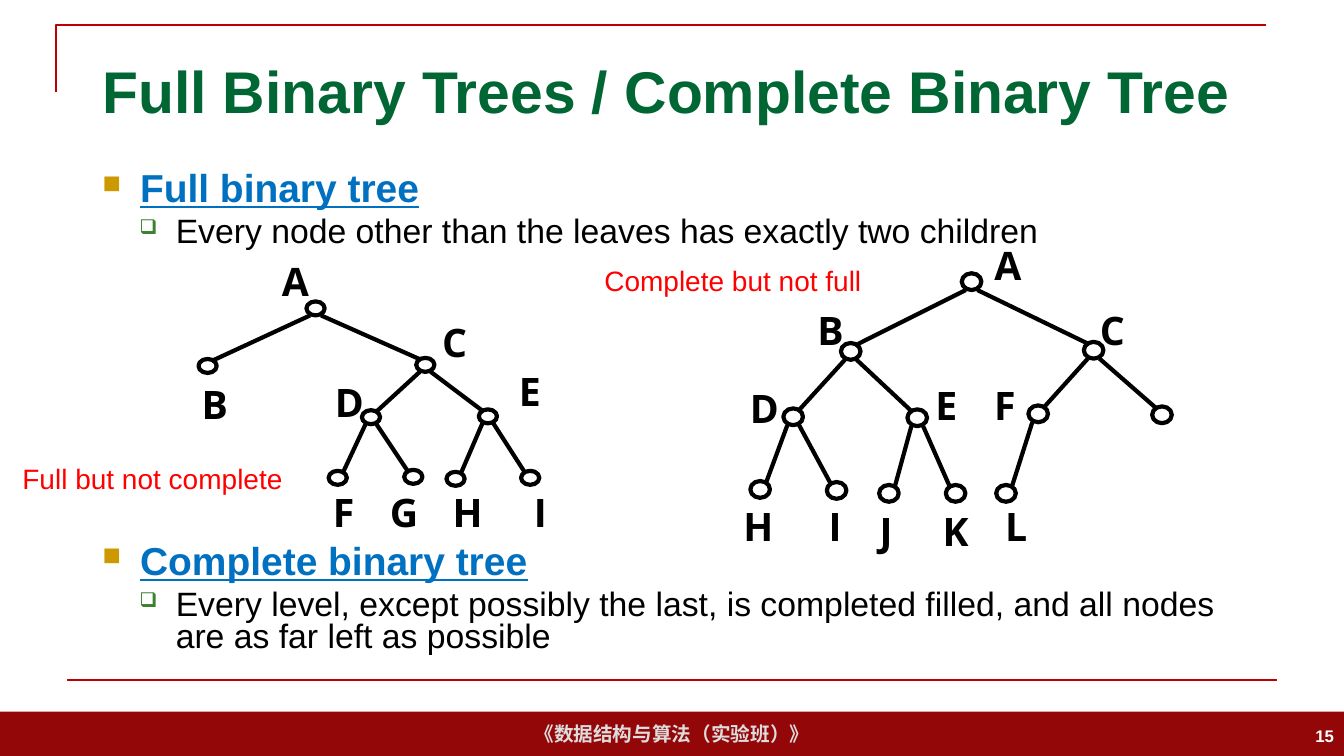
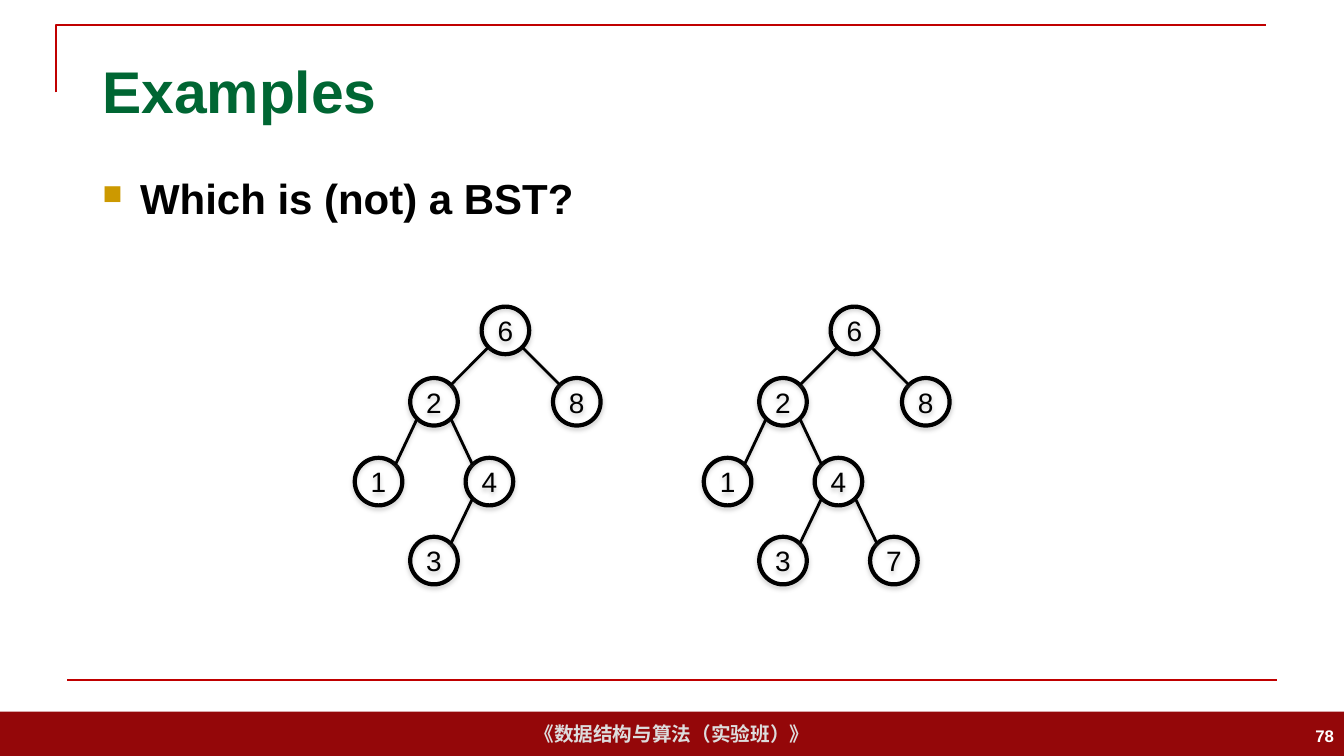
"""Build two slides on binary trees and binary search trees."""
import pptx
import pptx.util
import pptx.dml.color
import pptx.enum.shapes
import pptx.enum.text
import pptx.oxml.ns
import lxml.etree

Pt = pptx.util.Pt
RGB = pptx.dml.color.RGBColor.from_string
qn = pptx.oxml.ns.qn
MIDDLE = pptx.enum.text.MSO_ANCHOR.MIDDLE
ALIGN = pptx.enum.text.PP_ALIGN
SHAPE = pptx.enum.shapes.MSO_SHAPE
STRAIGHT = pptx.enum.shapes.MSO_CONNECTOR.STRAIGHT

COLORS = {
    "black": "000000", "white": "FFFFFF", "title": "006633", "rule": "C00000",
    "band": "940709", "footer": "DDDDDD", "term": "0070C0", "note": "FF0000",
    "square": "CC9900", "box": "3B812F", "shadow": "808080",
}


def write(tf, text, size, color="black", bold=False, align=ALIGN.LEFT, font="Arial"):
    """Write one paragraph into a text frame and return it."""
    tf.word_wrap = True
    p = tf.add_paragraph() if tf.paragraphs[0].runs else tf.paragraphs[0]
    p.alignment = align
    r = p.add_run()
    r.text = text
    r.font.name = font
    r.font.size = Pt(size)
    r.font.bold = bold
    r.font.color.rgb = RGB(COLORS[color])
    return p


def link(s, x1, y1, x2, y2, width, color="black"):
    """Draw a straight line and return its empty effect list."""
    line = s.shapes.add_connector(STRAIGHT, Pt(x1), Pt(y1), Pt(x2), Pt(y2))
    line.line.color.rgb = RGB(COLORS[color])
    line.line.width = Pt(width)
    return lxml.etree.SubElement(line._element.spPr, qn("a:effectLst"))


prs = pptx.Presentation()
prs.slide_width, prs.slide_height = Pt(960), Pt(540)

slides = []
for title, number in (("Full Binary Trees / Complete Binary Tree", "15"), ("Examples", "78")):
    s = prs.slides.add_slide(prs.slide_layouts[6])
    slides.append(s)
    band = s.shapes.add_shape(SHAPE.RECTANGLE, 0, Pt(508.3), Pt(960), Pt(31.7))
    band.shadow.inherit = False
    band.fill.solid()
    band.fill.fore_color.rgb = RGB(COLORS["band"])
    band.line.fill.background()
    band.text_frame.vertical_anchor = MIDDLE
    write(band.text_frame, "《数据结构与算法（实验班）》", 14, "footer", True, ALIGN.CENTER)

    outline = s.shapes.build_freeform(Pt(40), Pt(66))
    outline.add_line_segments([(Pt(40), Pt(18)), (Pt(904), Pt(18))], close=False)
    corner = outline.convert_to_shape()
    corner.shadow.inherit = False
    corner.fill.background()
    corner.line.color.rgb = RGB(COLORS["rule"])
    corner.line.width = Pt(1.5)
    link(s, 48, 486, 912, 486, 1.5, "rule")

    tf = s.shapes.add_textbox(Pt(66), Pt(29), Pt(828), Pt(71)).text_frame
    tf.vertical_anchor = MIDDLE
    write(tf, title, 42, "title", True)
    tf = s.shapes.add_textbox(Pt(744), Pt(511), Pt(216), Pt(29)).text_frame
    tf.vertical_anchor = MIDDLE
    write(tf, number, 12, "white", True, ALIGN.RIGHT)

full, examples = slides

bullets = [
    (full, 120, 0.8, [
        ("Full binary tree", 27.8, "term", 0),
        ("Every node other than the leaves has exactly two children", 24.1, "black", 1),
    ]),
    (full, 386.4, 0.8, [
        ("Complete binary tree", 27.8, "term", 0),
        ("Every level, except possibly the last, is completed filled, "
         "and all nodes are as far left as possible", 24.1, "black", 1),
    ]),
    (examples, 120, 1.0, [("Which is (not) a BST?", 30, "black", 0)]),
]
levels = [("■", "square", 65, 27, 27), ("❑", "box", 60, 52.5, 26)]
for s, top, spacing, lines in bullets:
    tf = s.shapes.add_textbox(Pt(66), Pt(top), Pt(828), Pt(90)).text_frame
    for text, size, color, level in lines:
        char, bullet_color, percent, margin, hang = levels[level]
        p = write(tf, text, size, color, level == 0)
        p.runs[0].font.underline = color == "term"
        p.level = level
        pPr = p._p.get_or_add_pPr()
        pPr.set("marL", str(Pt(margin)))
        pPr.set("indent", str(-Pt(hang)))
        clr = lxml.etree.SubElement(pPr, qn("a:buClr"))
        lxml.etree.SubElement(clr, qn("a:srgbClr"), val=COLORS[bullet_color])
        lxml.etree.SubElement(pPr, qn("a:buSzPct"), val=str(percent * 1000))
        lxml.etree.SubElement(pPr, qn("a:buChar"), char=char)
        p.line_spacing = spacing
        if level:
            p.space_before = Pt(5)

full_tree = {
    "A": (None, 225.4, 220.3, 211, 180), "B": ("A", 148.3, 261.4, 153.4, 268),
    "C": ("A", 303.8, 260.6, 324.7, 224), "D": ("C", 265, 298, 249.5, 266.4),
    "E": ("C", 348.5, 297.4, 378.4, 258.5), "F": ("D", 241.2, 341.3, 245.5, 345),
    "G": ("D", 295.2, 340.6, 288.7, 345), "H": ("E", 325.4, 342, 334, 345),
    "I": ("E", 378.7, 341.3, 386, 345),
}
complete_tree = {
    "A": (None, 694, 201.2, 720, 169), "B": ("A", 607.7, 251, 593.3, 215.3),
    "C": ("A", 781.2, 250.2, 794.5, 215.3), "D": ("B", 566.6, 297.7, 546, 270.7),
    "E": ("B", 655.2, 298.4, 676, 268.6), "F": ("C", 741.6, 295.6, 717.8, 268.6),
    "": ("C", 830, 296.3, 0, 0), "H": ("D", 543, 349.6, 541.8, 355),
    "I": ("D", 597.6, 350.3, 596.5, 355), "J": ("E", 635, 352.4, 633, 358.6),
    "K": ("E", 682.6, 352.4, 682.6, 358.6), "L": ("F", 718.6, 352.4, 725.8, 355),
}
for tree, w, h in ((full_tree, 13, 10), (complete_tree, 14, 12)):
    for parent, x, y, label_x, label_y in tree.values():
        if parent:
            px, py = tree[parent][1:3]
            side = 1 if x > px else -1
            link(full, px + side * 0.3 * w, py + 0.5 * h, x - side * 0.3 * w, y - 0.4 * h, 3)
    for name, (parent, x, y, label_x, label_y) in tree.items():
        node = full.shapes.add_shape(SHAPE.OVAL, Pt(x - w / 2), Pt(y - h / 2), Pt(w), Pt(h))
        node.shadow.inherit = False
        node.fill.solid()
        node.fill.fore_color.rgb = RGB(COLORS["white"])
        node.line.color.rgb = RGB(COLORS["black"])
        node.line.width = Pt(3)
        if name:
            tf = full.shapes.add_textbox(Pt(label_x - 26), Pt(label_y), Pt(52), Pt(44)).text_frame
            write(tf, name, 28, "black", True, ALIGN.CENTER, "Open Sans")

for note, x, y in (("Full but not complete", -22, 326), ("Complete but not full", 392.5, 184.5)):
    tf = full.shapes.add_textbox(Pt(x), Pt(y), Pt(262), Pt(31.5)).text_frame
    write(tf, note, 20, "note", align=ALIGN.CENTER)

search_tree = {
    "6": (None, 361, 236), "2": ("6", 310, 287), "8": ("6", 412, 287),
    "1": ("2", 270.4, 344), "4": ("2", 349.6, 344), "3": ("4", 310, 400.4),
    "7": ("4", 389.2, 400.4),
}
diameter, reach = 34, 12
effects = []
for shift, names in ((0, "628143"), (249.3, "6281437")):
    for name in names:
        parent, x, y = search_tree[name]
        node = examples.shapes.add_shape(
            SHAPE.OVAL, Pt(x + shift - diameter / 2), Pt(y - diameter / 2), Pt(diameter), Pt(diameter))
        node.shadow.inherit = False
        node.fill.background()
        node.line.color.rgb = RGB(COLORS["black"])
        node.line.width = Pt(3)
        tf = node.text_frame
        tf.vertical_anchor = MIDDLE
        tf.margin_left = tf.margin_right = 0
        write(tf, name, 20, align=ALIGN.CENTER)
        effects.append((node._element.spPr.find(qn("a:effectLst")), 35, 1.8))
        if parent:
            px, py = search_tree[parent][1:]
            side = reach if x > px else -reach
            effect = link(examples, px + shift + side, py + reach, x + shift - side, y - reach, 2)
            effects.append((effect, 38, 1.6))

for effect, alpha, distance in effects:
    shadow = lxml.etree.SubElement(
        effect, qn("a:outerShdw"), blurRad=str(Pt(3.1)), dist=str(Pt(distance)),
        dir="5400000", rotWithShape="0")
    clr = lxml.etree.SubElement(shadow, qn("a:srgbClr"), val=COLORS["shadow"])
    lxml.etree.SubElement(clr, qn("a:alpha"), val=str(alpha * 1000))

prs.save("out.pptx")
